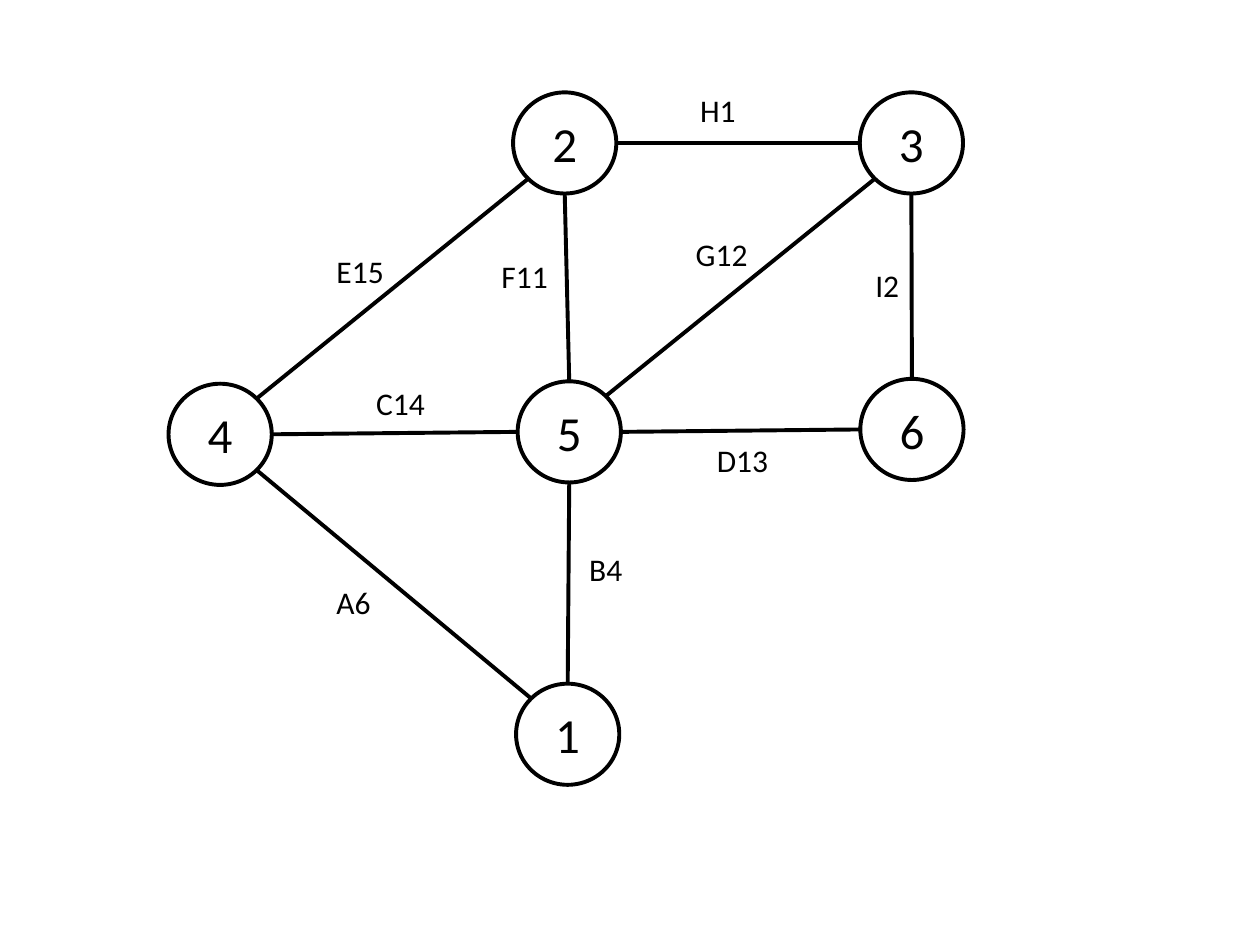
"""Build a slide with a graph of six numbered nodes and nine labelled edges."""
from math import hypot

from pptx import Presentation
from pptx.dml.color import RGBColor
from pptx.enum import shapes, text
from pptx.util import Pt

INK = "000000"
NODE_W, NODE_H = 59, 57.8


def rgb(value):
    return RGBColor.from_string(value)


def style_text(tf, size):
    r = tf.paragraphs[0].runs[0]
    r.font.name = "Calibri"
    r.font.size = Pt(size)
    r.font.color.rgb = rgb(INK)


prs = Presentation()
prs.slide_width, prs.slide_height = Pt(720), Pt(540)
s = prs.slides.add_slide(prs.slide_layouts[6])

nodes = {
    "1": (294.9, 390.7),
    "2": (293.2, 52.8),
    "4": (96.3, 219.3),
    "5": (295.8, 217.9),
    "3": (491.3, 52.8),
    "6": (491.6, 216.5),
}
for name, (x, y) in nodes.items():
    sp = s.shapes.add_shape(shapes.MSO_SHAPE.OVAL, Pt(x), Pt(y), Pt(NODE_W), Pt(NODE_H))
    sp.shadow.inherit = False
    sp.fill.background()
    sp.line.color.rgb = rgb(INK)
    sp.line.width = Pt(2.25)
    tf = sp.text_frame
    tf.text = name
    tf.vertical_anchor = text.MSO_ANCHOR.MIDDLE
    tf.paragraphs[0].alignment = text.PP_ALIGN.CENTER
    style_text(tf, 28)

edges = [
    ("1", "5", (0, -1), "B4", 329.6, 311, 52),
    ("2", "4", (-1, 1), "E15", 185.2, 140.5, 60),
    ("1", "4", (-1, -1), "A6", 185.2, 329.6, 42),
    ("5", "4", (-1, 0), "C14", 207.9, 216, 52),
    ("2", "5", (0, 1), "F11", 279.5, 143.3, 45),
    ("3", "5", (-1, 1), "G12", 390.5, 131, 50),
    ("2", "3", (1, 0), "H1", 393, 48.2, 54),
    ("3", "6", (0, 1), "I2", 493.1, 148.5, 38),
    ("6", "5", (-1, 0), "D13", 402.5, 248.5, 48),
]
for start, end, (dx, dy), label, left, top, width in edges:
    rx, ry = (d * side / 2 / hypot(dx, dy) for d, side in ((dx, NODE_W), (dy, NODE_H)))
    x1, y1 = nodes[start]
    x2, y2 = nodes[end]
    cx, cy = NODE_W / 2, NODE_H / 2
    line = s.shapes.add_connector(
        shapes.MSO_CONNECTOR.STRAIGHT,
        Pt(x1 + cx + rx), Pt(y1 + cy + ry), Pt(x2 + cx - rx), Pt(y2 + cy - ry))
    line.line.color.rgb = rgb(INK)
    line.line.width = Pt(2.25)
    props = line._element.spPr
    props.append(props.makeelement(
        "{http://schemas.openxmlformats.org/drawingml/2006/main}effectLst", {}))

    tb = s.shapes.add_textbox(Pt(left), Pt(top), Pt(width), Pt(29))
    tf = tb.text_frame
    tf.word_wrap = True
    tf.auto_size = text.MSO_AUTO_SIZE.SHAPE_TO_FIT_TEXT
    tf.text = label
    style_text(tf, 18)

prs.save("out.pptx")
